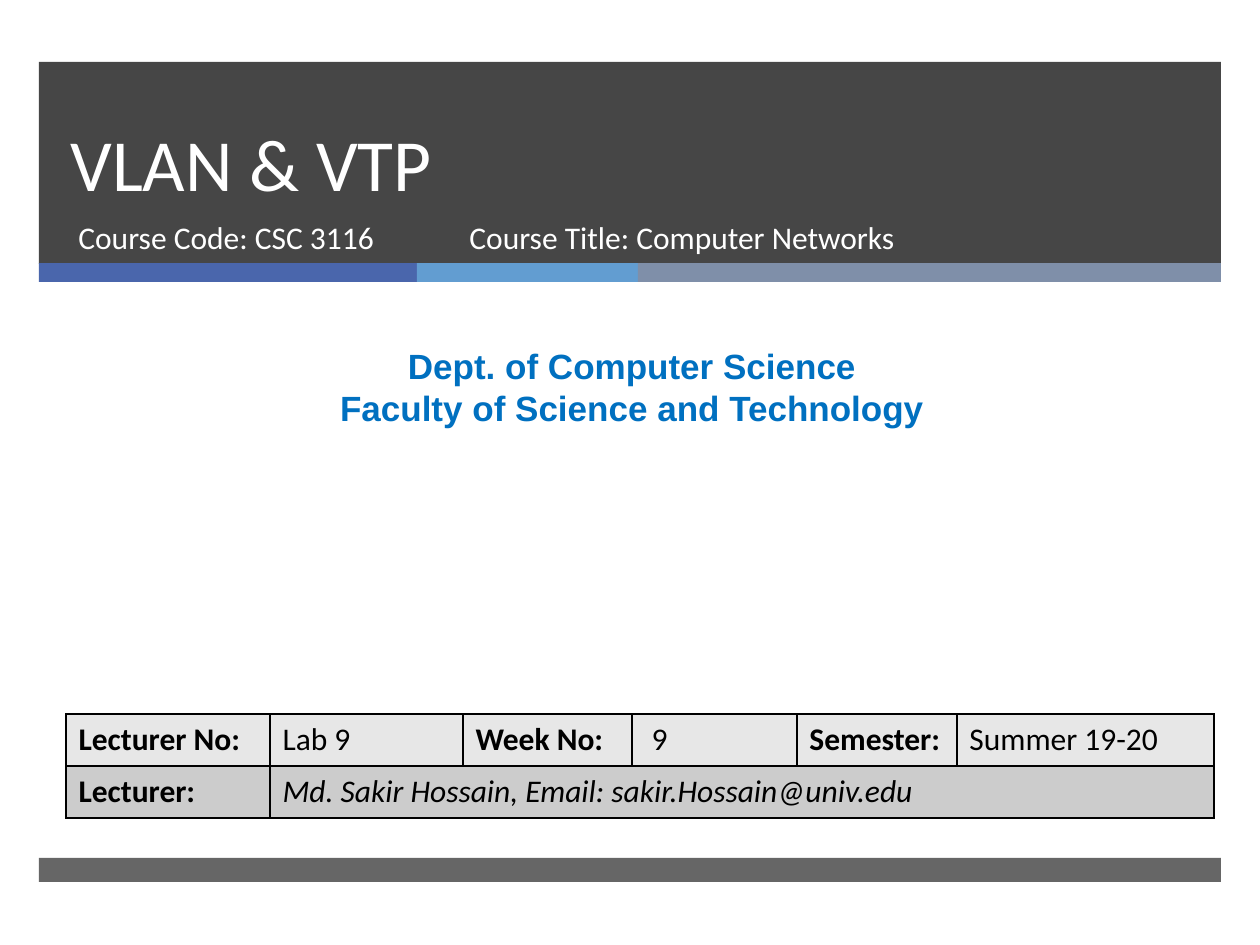
from lxml.etree import SubElement
from pptx import Presentation
from pptx.dml.color import RGBColor
from pptx.enum.shapes import MSO_SHAPE
from pptx.enum.text import MSO_ANCHOR, PP_ALIGN
from pptx.oxml import parse_xml
from pptx.oxml.ns import nsdecls, qn
from pptx.util import Emu, Pt

COLORS = {
    "dark": "262626",
    "blue": "4A66AC",
    "sky": "629DD1",
    "slate": "7F8FA9",
    "white": "FFFFFF",
    "heading": "0070C0",
    "black": "000000",
    "row_light": "E7E7E7",
    "row_dark": "CCCCCC",
}
PX_PER_INCH = 126


def px(n):
    return Emu(round(n * 914400 / PX_PER_INCH))


def rgb(name):
    return RGBColor.from_string(COLORS[name])


class SlideBuilder:
    font = "Calibri"
    size = 18

    def __init__(self, s):
        self.s = s

    def format(self, p, color, size=None, font=None, bold=False, italic=False):
        for r in p.runs:
            r.font.name = font or self.font
            r.font.size = Pt(size or self.size)
            r.font.bold = bold
            r.font.italic = italic
            r.font.color.rgb = rgb(color)

    def bar(self, x, y, w, h, color, opacity=100):
        sp = self.s.shapes.add_shape(MSO_SHAPE.RECTANGLE, px(x), px(y), px(w), px(h))
        sp.shadow.inherit = False
        sp.line.fill.background()
        sp.fill.solid()
        sp.fill.fore_color.rgb = rgb(color)
        if opacity < 100:
            clr = sp.fill._xPr.find(qn("a:solidFill"))[0]
            SubElement(clr, qn("a:alpha")).set("val", str(opacity * 1000))

    def text(self, x, y, w, h, text, color="white", anchor=MSO_ANCHOR.TOP,
             align=PP_ALIGN.LEFT, spacing=None, **style):
        tf = self.s.shapes.add_textbox(px(x), px(y), px(w), px(h)).text_frame
        tf.word_wrap = True
        tf.vertical_anchor = anchor
        tf.text = text
        for p in tf.paragraphs:
            p.alignment = align
            p.line_spacing = spacing
            self.format(p, color, **style)

    def cell(self, c, fill, text="", **style):
        c.fill.solid()
        c.fill.fore_color.rgb = rgb(fill)
        c.text_frame.text = text
        self.format(c.text_frame.paragraphs[0], "black", **style)
        tcPr = c._tc.get_or_add_tcPr()
        for i, side in enumerate(("lnL", "lnR", "lnT", "lnB")):
            tcPr.insert(i, parse_xml(
                f'<a:{side} {nsdecls("a")} w="12700"><a:solidFill>'
                f'<a:srgbClr val="{COLORS["black"]}"/></a:solidFill></a:{side}>'))

    def table(self, x, y, widths, row_h, rows, fills):
        tbl = self.s.shapes.add_table(
            len(rows), len(widths), px(x), px(y),
            px(sum(widths)), px(row_h * len(rows))).table
        for col, w in zip(tbl.columns, widths):
            col.width = px(w)
        for i, (row, fill) in enumerate(zip(rows, fills)):
            tbl.rows[i].height = px(row_h)
            for j in range(len(widths)):
                text, style = row[j] if j < len(row) else ("", {})
                self.cell(tbl.cell(i, j), fill, text, **style)
            if len(row) < len(widths):
                tbl.cell(i, len(row) - 1).merge(tbl.cell(i, len(widths) - 1))


def main():
    prs = Presentation()
    prs.slide_width, prs.slide_height = px(1260), px(945)
    b = SlideBuilder(prs.slides.add_slide(prs.slide_layouts[6]))

    left, width = 39, 1182
    b.bar(left, 62, width, 202, "dark", opacity=85)
    x = left
    for w, color in ((378, "blue"), (221, "sky"), (583, "slate")):
        b.bar(x, 263, w, 19, color)
        x += w
    b.bar(left, 858, width, 24, "dark", opacity=70)

    b.text(58, 62, 1076, 150, "VLAN & VTP", anchor=MSO_ANCHOR.BOTTOM,
           spacing=Pt(46), size=42)
    b.text(66, 212, 384, 66, "Course Code: CSC 3116")
    b.text(457, 212, 573, 66, "Course Title: Computer Networks")
    b.text(10, 338, 1244, 97,
           "Dept. of Computer Science\nFaculty of Science and Technology",
           color="heading", align=PP_ALIGN.CENTER, size=20, font="Arial", bold=True)

    label, value, contact = {"bold": True}, {}, {"italic": True}
    rows = [
        [("Lecturer No:", label), ("Lab 9", value), ("Week No:", label),
         (" 9", value), ("Semester:", label), ("Summer 19-20", value)],
        [("Lecturer:", label),
         ("Md. Sakir Hossain, Email: sakir.Hossain@univ.edu", contact)],
    ]
    b.table(66, 714, (204, 193, 169, 165, 160, 257), 52, rows,
            ("row_light", "row_dark"))

    prs.save("out.pptx")


if __name__ == "__main__":
    main()
